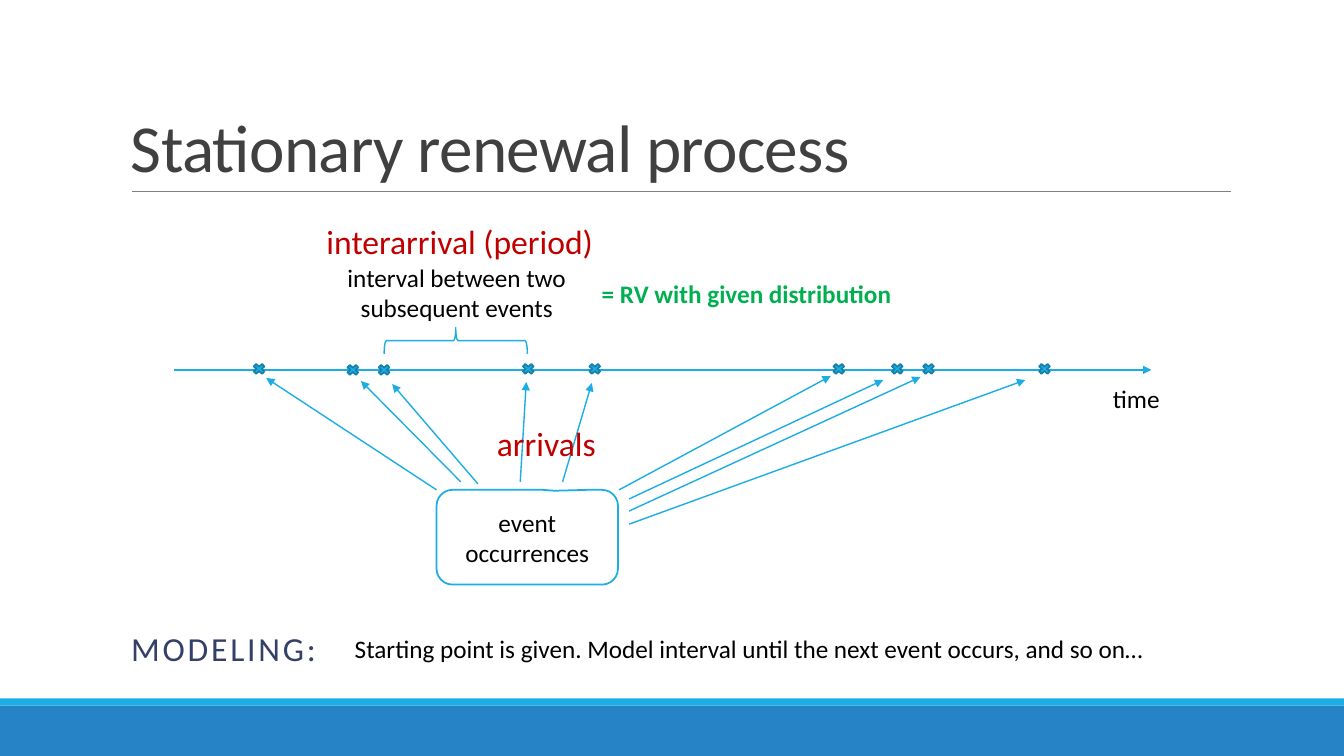
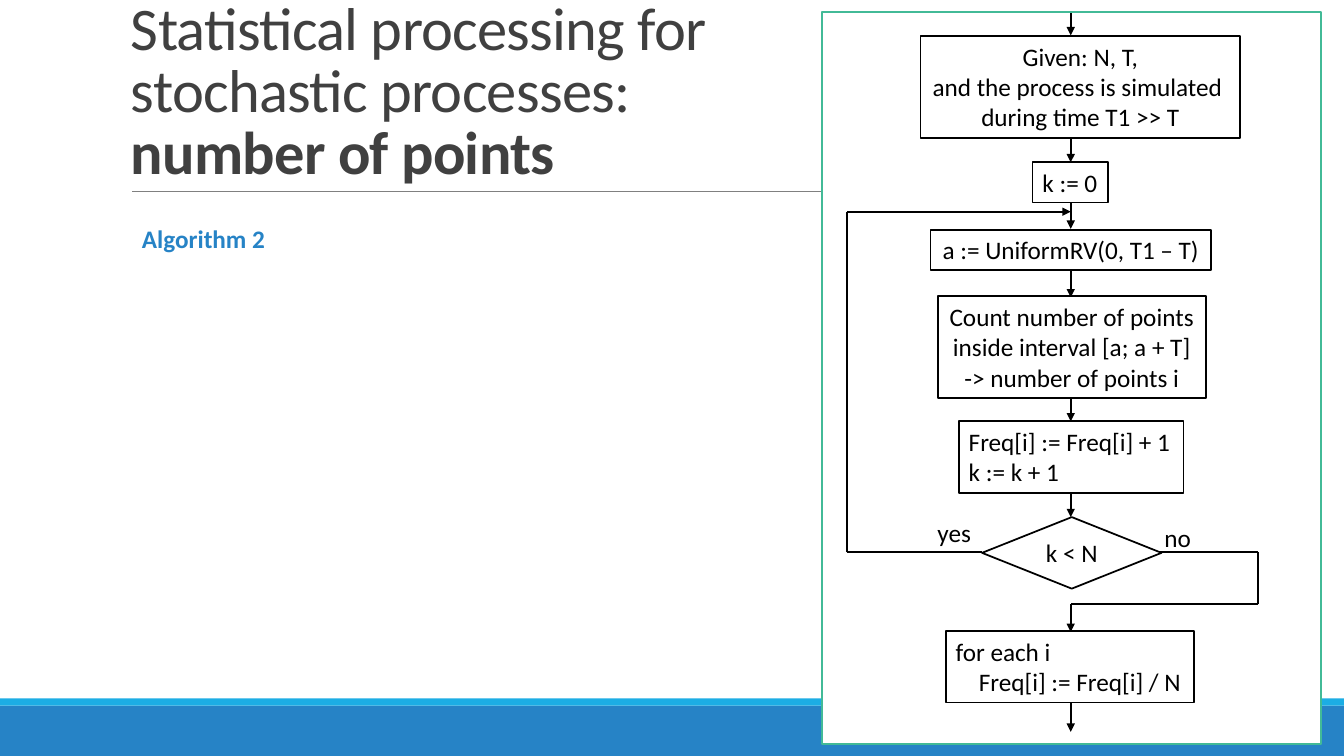
from lxml import etree
from pptx import Presentation
from pptx import util as u
from pptx.dml import color
from pptx.enum import shapes as s, text as t
from pptx.oxml import ns

PX = 9144
FONT = "Calibri"
BLACK, WHITE, RED, GREEN = "000000", "FFFFFF", "C00000", "00B050"
BLUE, SKY, DARK_SKY, TEAL = "2683C6", "1CADE4", "1580A9", "42BA97"
TITLE_GRAY, RULE_GRAY, NAVY = "404040", "808080", "344068"
KIND = s.MSO_SHAPE
CENTER = t.PP_ALIGN.CENTER
TOP, MIDDLE, BOTTOM = t.MSO_ANCHOR.TOP, t.MSO_ANCHOR.MIDDLE, t.MSO_ANCHOR.BOTTOM
rgb = color.RGBColor.from_string


def write(shapes, text, at, kind=None, fill=None, line=None, width=1.25, size=18,
          ink=BLACK, bold=False, bold_tail="", align=t.PP_ALIGN.LEFT, anchor=TOP,
          wrap=False, grow=True, inset=10, leading=None, tracking=None):
    box = [length * PX for length in at]
    if kind is None:
        shape = shapes.add_textbox(*box)
    else:
        shape = shapes.add_shape(kind, *box)
        shape.shadow.inherit = False
    if fill:
        shape.fill.solid()
        shape.fill.fore_color.rgb = rgb(fill)
    else:
        shape.fill.background()
    if line:
        shape.line.color.rgb = rgb(line)
        shape.line.width = u.Pt(width)
    else:
        shape.line.fill.background()
    if not text:
        return shape
    frame = shape.text_frame
    frame.word_wrap = wrap
    frame.auto_size = t.MSO_AUTO_SIZE.SHAPE_TO_FIT_TEXT if grow else t.MSO_AUTO_SIZE.NONE
    frame.vertical_anchor = anchor
    frame.margin_left = frame.margin_right = inset * PX
    frame.margin_top = frame.margin_bottom = 5 * PX
    for index, content in enumerate(text.split("\n")):
        paragraph = frame.add_paragraph() if index else frame.paragraphs[0]
        paragraph.alignment = align
        paragraph.line_spacing = leading
        paragraph.add_run().text = content
    if bold_tail:
        paragraph.add_run().text = bold_tail
    for paragraph in frame.paragraphs:
        for run in paragraph.runs:
            font = run.font
            font.name, font.size, font.color.rgb = FONT, u.Pt(size), rgb(ink)
            font.bold = bold or run.text == bold_tail
            if tracking:
                run._r.get_or_add_rPr().set("spc", str(tracking))
    return shape


def connect(shapes, start, end, line, width, arrow=False):
    connector = shapes.add_connector(
        s.MSO_CONNECTOR.STRAIGHT, *[length * PX for length in (*start, *end)])
    connector.line.color.rgb = rgb(line)
    connector.line.width = u.Pt(width)
    if arrow:
        etree.SubElement(connector.line._get_or_add_ln(), ns.qn("a:tailEnd"), type="triangle")
    etree.SubElement(connector._element.spPr, ns.qn("a:effectLst"))


presentation = Presentation()
presentation.slide_width, presentation.slide_height = 1333 * PX, 750 * PX

slides = []
for title, bold_tail, at, size in [
    ("Stationary renewal process", "", (120, 31, 1100, 159), 48),
    ("Statistical processing for stochastic processes: ", "number of points",
     (120, 0, 658, 190), 43.2),
]:
    slide = presentation.slides.add_slide(presentation.slide_layouts[6])
    write(slide.shapes, "", (0, 700, 1333, 50), KIND.RECTANGLE, fill=BLUE)
    write(slide.shapes, "", (0, 693, 1333, 7), KIND.RECTANGLE, fill=SKY)
    connect(slide.shapes, (131, 190), (1221, 190), RULE_GRAY, 0.5)
    write(slide.shapes, title, at, size=size, ink=TITLE_GRAY, bold_tail=bold_tail,
          anchor=BOTTOM, wrap=True, grow=False, leading=0.85, tracking=-50)
    slides.append(slide)

timeline = slides[0].shapes
connect(timeline, (173, 367), (1142, 367), SKY, 1, arrow=True)
for left, top in [(249, 359), (342, 360), (373, 360), (516, 359), (582, 359),
                  (824, 359), (882, 359), (913, 359), (1028, 359)]:
    write(timeline, "", (left, top, 16, 14), KIND.MATH_MULTIPLY, fill=SKY, line=DARK_SKY)

callout = write(timeline, "event occurrences", (433, 486, 180, 94),
                KIND.ROUNDED_RECTANGULAR_CALLOUT, fill=WHITE, line=SKY,
                align=CENTER, anchor=MIDDLE, wrap=True, grow=False)
for index, adjustment in enumerate((0.15, -0.49, 0.17)):
    callout.adjustments[index] = adjustment

for start, end in [
    ((433, 486), (264, 375)), ((457, 478), (358, 378)), ((474, 480), (389, 381)),
    ((516, 478), (522, 379)), ((558, 478), (587, 380)), ((614, 486), (824, 373)),
    ((624, 495), (876, 377)), ((624, 507), (913, 374)), ((624, 520), (1017, 377)),
]:
    connect(timeline, start, end, SKY, 1, arrow=True)

brace = write(timeline, "", (439, 267, 26, 142), KIND.LEFT_BRACE, line=SKY, width=1)
brace.rotation = 90

write(timeline, "time", (1094, 375, 67, 40))
write(timeline, "interval between two subsequent events", (324, 255, 258, 71),
      align=CENTER, wrap=True)
write(timeline, "MODELING:", (130, 623, 219, 60), size=24, ink=NAVY, wrap=True,
      grow=False, inset=0, leading=0.9, tracking=200)
write(timeline, "Starting point is given. Model interval until the next event occurs, and so on…",
      (342, 623, 806, 40))
write(timeline, "arrivals", (483, 415, 119, 50), size=24, ink=RED)
write(timeline, "interarrival (period)", (314, 214, 287, 50), size=24, ink=RED)
write(timeline, "= RV with given distribution", (587, 271, 310, 40), ink=GREEN, bold=True)

write(slides[1].shapes, "Algorithm 2", (131, 217, 143, 40), ink=BLUE, bold=True)
flowchart = slides[1].shapes.add_group_shape().shapes
write(flowchart, "", (815, 12, 495, 726), KIND.RECTANGLE, fill=WHITE, line=TEAL)

spine, loop_left, exit_right = 1062, 840, 1248
for top, bottom in [(13, 35), (138, 161), (201, 227), (269, 295),
                    (392, 418), (486, 513), (599, 627), (697, 726)]:
    connect(flowchart, (spine, top), (spine, bottom), BLACK, 1.5, arrow=True)
for start, end in [
    ((974, 548), (loop_left, 548)), ((loop_left, 548), (loop_left, 210)),
    ((1151, 548), (exit_right, 548)), ((exit_right, 548), (exit_right, 599)),
    ((exit_right, 599), (spine, 599)),
]:
    connect(flowchart, start, end, BLACK, 1.5)
connect(flowchart, (loop_left, 210), (spine, 210), BLACK, 1.5, arrow=True)

for text, at, align in [
    ("Given: N, T,\nand the process is simulated \nduring time T1 >> T",
     (913, 36, 317, 101), CENTER),
    ("k := 0", (1024, 161, 75, 40), None),
    ("a := UniformRV(0, T1 – T)", (923, 228, 278, 40), CENTER),
    ("Count number of points\ninside interval [a; a + T]\n-> number of points i",
     (930, 294, 266, 101), CENTER),
    ("Freq[i] := Freq[i] + 1\nk := k + 1", (951, 418, 223, 71), None),
    ("for each i\nFreq[i] := Freq[i] / N", (938, 626, 246, 71), None),
]:
    step = write(flowchart, text, at, KIND.RECTANGLE, fill=WHITE, line=BLACK,
                 align=align or t.PP_ALIGN.LEFT)
loop_body = step.text_frame.paragraphs[1]
loop_body._p.get_or_add_pPr().set("marL", str(23 * PX))

write(flowchart, "k < N", (974, 513, 178, 71), KIND.DIAMOND, fill=WHITE, line=BLACK,
      align=CENTER, anchor=MIDDLE, wrap=True, grow=False)
write(flowchart, "yes", (920, 508, 54, 40))
write(flowchart, "no", (1145, 513, 47, 40))

presentation.save("out.pptx")
